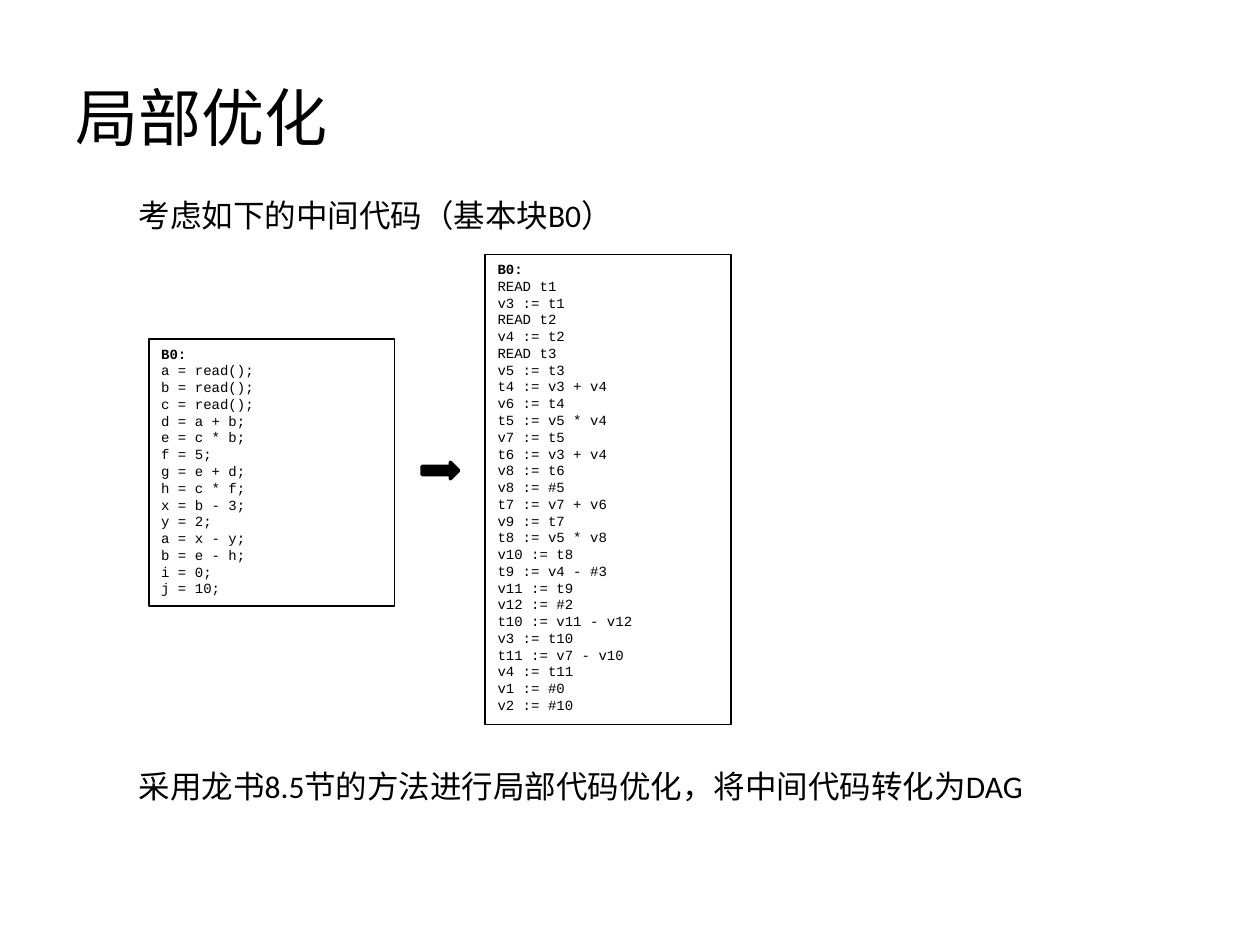
from pptx import Presentation
from pptx.util import Pt
from pptx.dml.color import RGBColor
from pptx.enum import shapes as sh, text as tx
from pptx.oxml.ns import qn
from lxml import etree

HUES = {"ink": "000000"}
HEAD = {"name": "Calibri", "size": Pt(36)}
BODY = {"name": "Calibri", "size": Pt(18)}
CODE = {"name": "Courier New", "size": Pt(8)}
SOURCE = """B0:
a = read();
b = read();
c = read();
d = a + b;
e = c * b;
f = 5;
g = e + d;
h = c * f;
x = b - 3;
y = 2;
a = x - y;
b = e - h;
i = 0;
j = 10;"""
INTER = """B0:
READ t1
v3 := t1
READ t2
v4 := t2
READ t3
v5 := t3
t4 := v3 + v4
v6 := t4
t5 := v5 * v4
v7 := t5
t6 := v3 + v4
v8 := t6
v8 := #5
t7 := v7 + v6
v9 := t7
t8 := v5 * v8
v10 := t8
t9 := v4 - #3
v11 := t9
v12 := #2
t10 := v11 - v12
v3 := t10
t11 := v7 - v10
v4 := t11
v1 := #0
v2 := #10"""


def ink():
    """Return the one colour of the slide."""
    return RGBColor.from_string(HUES["ink"])


def style(font, look, bold=False):
    """Set font attributes from a dict of values."""
    for key, val in {**look, "bold": bold}.items():
        setattr(font, key, val)
    font.color.rgb = ink()


def place(item, left, top, width, height):
    """Move and size a shape, in points."""
    spot = {"left": left, "top": top, "width": width, "height": height}
    for key, val in spot.items():
        setattr(item, key, Pt(val))


def add_title(slide, words):
    """Fill the title placeholder."""
    title = slide.shapes.title
    place(title, 36, 21.6, 648, 90)
    title.text_frame.text = words
    title.text_frame.vertical_anchor = tx.MSO_ANCHOR.MIDDLE
    para = title.text_frame.paragraphs[0]
    para.alignment = tx.PP_ALIGN.LEFT
    style(para.runs[0].font, HEAD)


def add_note(slide, slot, words, top, height, lead):
    """Fill a body placeholder with one indented line."""
    note = slide.placeholders[slot]
    place(note, 36, top, 626.4, height)
    note.text_frame.auto_size = tx.MSO_AUTO_SIZE.NONE
    note.text_frame.text = words
    para = note.text_frame.paragraphs[0]
    para.level = 1
    props = para._p.get_or_add_pPr()
    props.set("marL", str(Pt(36)))
    props.set("indent", "0")
    etree.SubElement(props, qn("a:buNone"))
    para.line_spacing = lead
    para.space_before = Pt(0)
    style(para.runs[0].font, BODY)


def add_shape(slide, kind, spot, weight):
    """Draw an unfilled, outlined shape without shadow."""
    item = slide.shapes.add_shape(kind, 0, 0, 0, 0)
    place(item, *spot)
    item.shadow.inherit = False
    item.fill.background()
    item.line.color.rgb = ink()
    item.line.width = Pt(weight)
    return item


def add_code(slide, code, *spot):
    """Draw a framed code listing with a bold label."""
    frame = add_shape(slide, sh.MSO_SHAPE.RECTANGLE, spot, 1).text_frame
    frame.vertical_anchor = tx.MSO_ANCHOR.TOP
    frame.auto_size = tx.MSO_AUTO_SIZE.SHAPE_TO_FIT_TEXT
    frame.text = code
    for row, para in enumerate(frame.paragraphs):
        para.alignment = tx.PP_ALIGN.LEFT
        style(para.runs[0].font, CODE, row == 0)


def add_arrow(slide, *spot):
    """Draw the solid arrow between the listings."""
    arrow = add_shape(slide, sh.MSO_SHAPE.RIGHT_ARROW, spot, 2)
    arrow.fill.solid()
    arrow.fill.fore_color.rgb = ink()


def main():
    """Build and save the slide."""
    deck = Presentation()
    deck.slide_width, deck.slide_height = Pt(720), Pt(540)
    slide = deck.slides.add_slide(deck.slide_layouts[3])
    add_title(slide, "局部优化")
    add_note(slide, 1, "考虑如下的中间代码（基本块B0）", 100, 250.6, 1.4)
    add_code(slide, INTER, 277.2, 145.4, 140.4, 268.6)
    add_code(slide, SOURCE, 85, 193.7, 140.4, 152.6)
    add_arrow(slide, 241.2, 264.2, 20.9, 9.4)
    add_note(slide, 2, "采用龙书8.5节的方法进行局部代码优化，将中间代码转化为DAG",
             428.4, 36.7, 1.3)
    deck.save("out.pptx")


if __name__ == "__main__":
    main()
